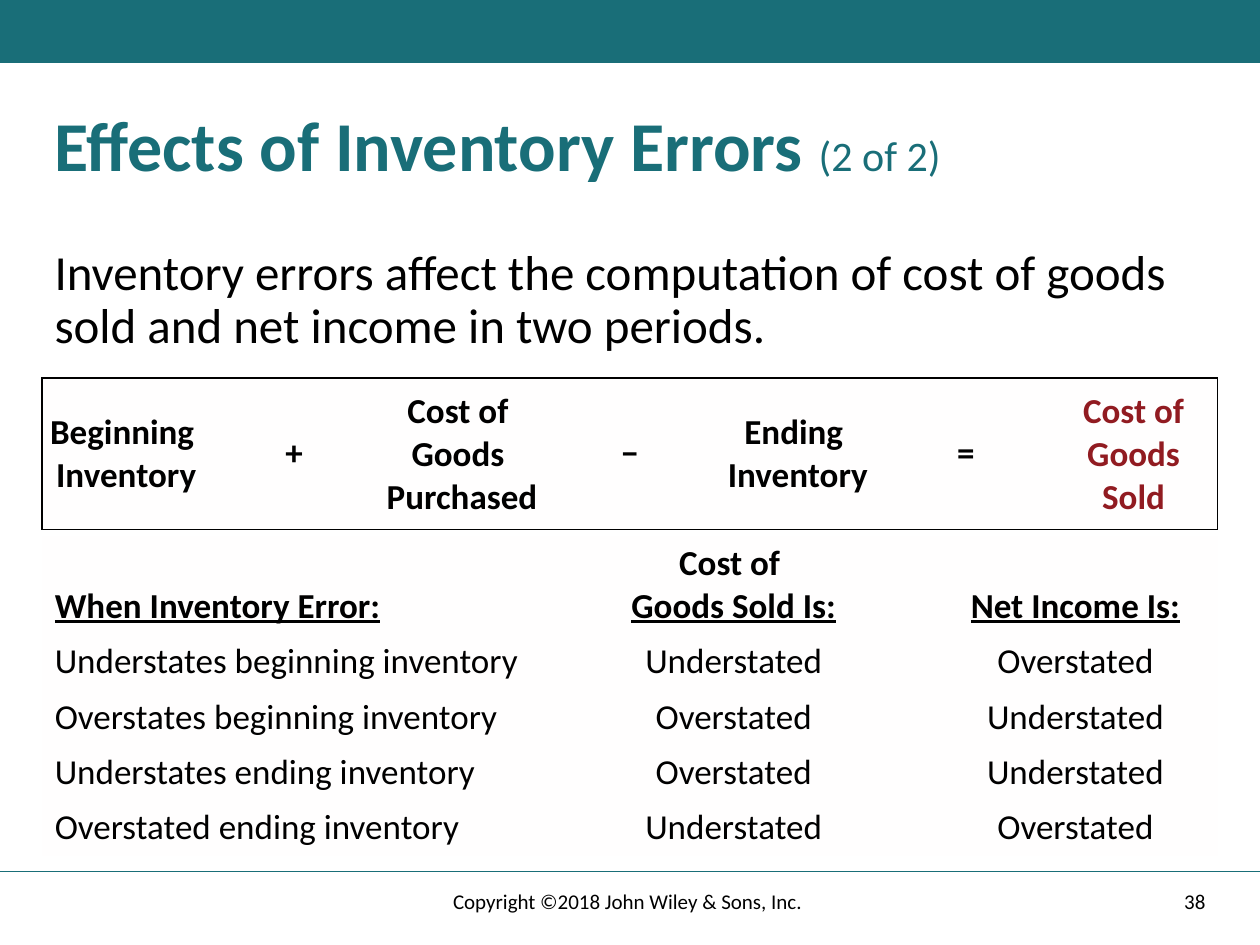
from lxml.etree import SubElement
from pptx import Presentation
from pptx.dml.color import RGBColor
from pptx.enum.shapes import MSO_CONNECTOR, MSO_SHAPE
from pptx.enum.text import MSO_ANCHOR, PP_ALIGN
from pptx.oxml.ns import qn
from pptx.util import Cm, Pt

TEAL = RGBColor(0x19, 0x6E, 0x78)
BLACK = RGBColor(0, 0, 0)
MAROON = RGBColor(0x91, 0x1B, 0x21)
CELL_FILL = RGBColor(0xFF, 0xFE, 0xFE)
FONT = "Calibri"
PLAIN_TABLE = "{2D5ABB26-0587-4C30-8999-92F81FD0307C}"
SLIDE_WIDTH, SLIDE_HEIGHT = Cm(25.4), Cm(19.05)
MARGIN, CONTENT_WIDTH = Cm(0.85), Cm(23.7)

FORMULA = [
    ["Beginning ", "Inventory"], ["+"], ["Cost of ", "Goods ", "Purchased"],
    ["−"], ["Ending ", "Inventory"], ["="], ["Cost of Goods Sold"],
]
EFFECTS = [
    [["When Inventory Error:"], ["Cost of ", "Goods Sold Is:"], ["Net Income Is:"]],
    [["Understates beginning inventory"], ["Understated"], ["Overstated"]],
    [["Overstates beginning inventory"], ["Overstated"], ["Understated"]],
    [["Understates ending inventory"], ["Overstated"], ["Understated"]],
    [["Overstated ending inventory"], ["Understated"], ["Overstated"]],
]


def add_run(paragraph, text, size, color=BLACK, bold=False, underline=False):
    run = paragraph.add_run()
    run.text = text
    font = run.font
    font.name, font.size, font.bold = FONT, Pt(size), bold
    font.color.rgb = color
    if underline:
        font.underline = True


def add_text(slide, box, runs, align=PP_ALIGN.LEFT, anchor=MSO_ANCHOR.TOP, spacing=1.0):
    frame = slide.shapes.add_textbox(*box).text_frame
    frame.word_wrap = True
    frame.vertical_anchor = anchor
    paragraph = frame.paragraphs[0]
    paragraph.alignment = align
    paragraph.line_spacing = spacing
    for run in runs:
        add_run(paragraph, *run)


def add_plain_table(slide, box, widths, heights):
    frame = slide.shapes.add_table(len(heights), len(widths), *box)
    next(frame.element.iter(qn("a:tableStyleId"))).text = PLAIN_TABLE
    table = frame.table
    table.first_row = table.horz_banding = False
    for column, width in zip(table.columns, widths):
        column.width = width
    for row, height in zip(table.rows, heights):
        row.height = height
    return table


def fill_cell(cell, lines, align, anchor, color=BLACK, bold=False, underlined_line=None):
    cell.fill.solid()
    cell.fill.fore_color.rgb = CELL_FILL
    cell.vertical_anchor = anchor
    frame = cell.text_frame
    for index, line in enumerate(lines):
        paragraph = frame.add_paragraph() if index else frame.paragraphs[0]
        paragraph.alignment = align
        add_run(paragraph, line, 20, color, bold, index == underlined_line)


def add_borders(cell, sides):
    properties = cell._tc.get_or_add_tcPr()
    for side in sides:
        border = SubElement(properties, qn(f"a:ln{side}"), w=str(Pt(1)))
        solid = SubElement(border, qn("a:solidFill"))
        SubElement(solid, qn("a:srgbClr"), val=str(BLACK))


def add_header(slide, left, top, width, height):
    band = slide.shapes.add_shape(MSO_SHAPE.RECTANGLE, left, top, width, Cm(1.27))
    band.shadow.inherit = False
    band.fill.solid()
    band.fill.fore_color.rgb = TEAL
    band.line.fill.background()
    title = [("Effects of Inventory Errors ", 40, TEAL, True), ("(2 of 2)", 24, TEAL)]
    title_box = (left + MARGIN, top + Cm(2.12), CONTENT_WIDTH, height - Cm(2.12))
    add_text(slide, title_box, title, spacing=0.9)


def add_statement(slide, left, top, width, height):
    statement = ("Inventory errors affect the computation of cost of goods "
                 "sold and net income in two periods.")
    add_text(slide, (left, top, width, height), [(statement, 28)], spacing=0.9)


def add_formula(slide, left, top, width, height):
    count = len(FORMULA)
    table = add_plain_table(slide, (left, top, width, height), [width // count] * count, [height])
    for index, lines in enumerate(FORMULA):
        cell = table.cell(0, index)
        is_result = index == count - 1
        cell.margin_left = cell.margin_right = Cm(0.25) if is_result else 0
        cell.margin_top = cell.margin_bottom = Cm(0.25)
        add_borders(cell, ("L" if index == 0 else "R" if is_result else "") + "TB")
        fill_cell(cell, lines, PP_ALIGN.CENTER, MSO_ANCHOR.MIDDLE,
                  MAROON if is_result else BLACK, True)


def add_effects(slide, left, top, width, height):
    heading_height = Cm(1.98)
    row_height = (height - heading_height) // (len(EFFECTS) - 1)
    heights = [heading_height] + [row_height] * (len(EFFECTS) - 1)
    widths = [Cm(9.92), Cm(8.04), width - Cm(17.96)]
    table = add_plain_table(slide, (left, top, width, height), widths, heights)
    for row, entries in enumerate(EFFECTS):
        for column, lines in enumerate(entries):
            heading = row == 0
            align = PP_ALIGN.CENTER if column else PP_ALIGN.LEFT
            fill_cell(table.cell(row, column), lines, align, MSO_ANCHOR.BOTTOM, bold=heading,
                      underlined_line=len(lines) - 1 if heading else None)


def add_footer(slide, left, top, width, height):
    rule = slide.shapes.add_connector(MSO_CONNECTOR.STRAIGHT, left, top, left + width, top)
    rule.line.color.rgb = TEAL
    rule.line.width = Pt(1)
    SubElement(rule.element.spPr, qn("a:effectLst"))
    text_top, text_height = top + Cm(0.08), Cm(1.02)
    number_width, copyright_width = Cm(6.6), Cm(8.58)
    number_left = left + width - MARGIN - number_width
    add_text(slide, (number_left, text_top, number_width, text_height),
             [("38", 12)], PP_ALIGN.RIGHT, MSO_ANCHOR.MIDDLE)
    copyright_left = left + (width - copyright_width) // 2
    add_text(slide, (copyright_left, text_top, copyright_width, text_height),
             [("Copyright ©2018 John Wiley & Sons, Inc. ", 12)],
             PP_ALIGN.CENTER, MSO_ANCHOR.MIDDLE)


def main():
    deck = Presentation()
    deck.slide_width, deck.slide_height = SLIDE_WIDTH, SLIDE_HEIGHT
    slide = deck.slides.add_slide(deck.slide_layouts[6])
    add_header(slide, 0, 0, SLIDE_WIDTH, Cm(4.87))
    add_statement(slide, MARGIN, Cm(4.87), CONTENT_WIDTH, Cm(2.54))
    add_formula(slide, MARGIN, Cm(7.62), CONTENT_WIDTH, Cm(3.05))
    add_effects(slide, MARGIN, Cm(10.8), CONTENT_WIDTH, Cm(6.45))
    footer_top = Cm(17.57)
    add_footer(slide, 0, footer_top, SLIDE_WIDTH, SLIDE_HEIGHT - footer_top)
    deck.save("out.pptx")


if __name__ == "__main__":
    main()
